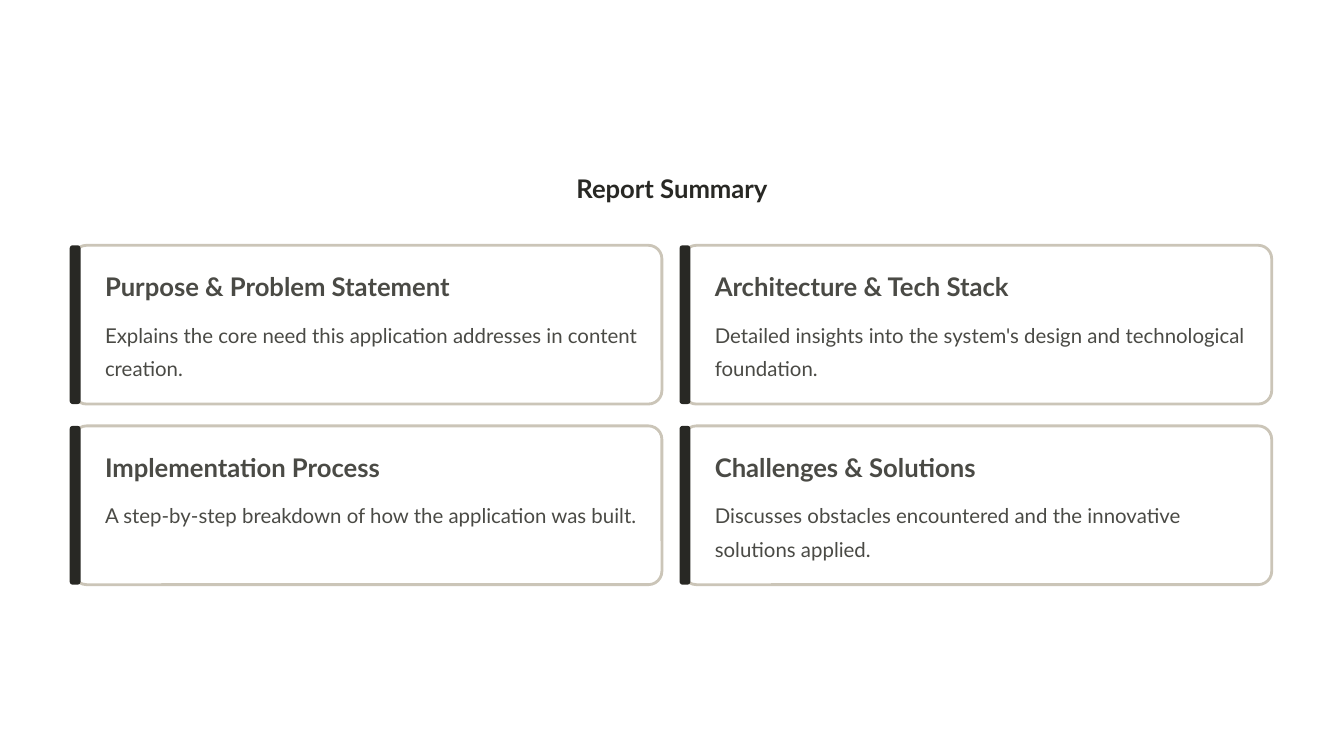
from pptx import Presentation
from pptx.dml.color import RGBColor
from pptx.enum.shapes import MSO_SHAPE
from pptx.enum.text import MSO_ANCHOR, MSO_AUTO_SIZE, PP_ALIGN
from pptx.util import Inches, Pt

ROUNDED = MSO_SHAPE.ROUNDED_RECTANGLE
TOP = MSO_ANCHOR.TOP
NO_FIT = MSO_AUTO_SIZE.NONE
LEFT, CENTER = PP_ALIGN.LEFT, PP_ALIGN.CENTER

INK = RGBColor(0x28, 0x28, 0x24)
GREY = RGBColor(0x4A, 0x4A, 0x45)
SAND = RGBColor(0xCB, 0xC5, 0xB8)

TITLE = {"size": Pt(22), "bold": True, "color": INK, "leading": Pt(27.5), "wrap": False}
HEADING = {**TITLE, "color": GREY}
BODY = {"size": Pt(17.5), "bold": False, "color": GREY, "leading": Pt(28.5), "wrap": True}

COLUMNS = 2
COLUMN_STEP, ROW_STEP = 7.26, 2.15
CARD_LEFT, CARD_TOP = 0.83, 2.92
CARD_HEIGHT = 1.89

CARDS = [
    ("Purpose & Problem Statement",
     "Explains the core need this application addresses in content creation."),
    ("Architecture & Tech Stack",
     "Detailed insights into the system's design and technological foundation."),
    ("Implementation Process",
     "A step-by-step breakdown of how the application was built."),
    ("Challenges & Solutions",
     "Discusses obstacles encountered and the innovative solutions applied."),
]


class SummarySlide:
    """Hold the style and the current slide, and draw its elements."""

    font_name = "Lato"

    def __init__(self, deck):
        self.page = deck.slides.add_slide(deck.slide_layouts[5])

    def fill_text(self, box, text, style, align=LEFT):
        frame = box.text_frame
        frame_format = {
            "margin_left": 0, "margin_top": 0, "margin_right": 0, "margin_bottom": 0,
            "auto_size": NO_FIT, "vertical_anchor": TOP, "word_wrap": style["wrap"],
        }
        for name, value in frame_format.items():
            setattr(frame, name, value)
        para = frame.paragraphs[0]
        para.alignment = align
        para.line_spacing = style["leading"]
        span = para.add_run()
        span.text = text
        font_format = {"name": self.font_name, "size": style["size"], "bold": style["bold"]}
        for name, value in font_format.items():
            setattr(span.font, name, value)
        span.font.color.rgb = style["color"]

    def title(self, text, left, top, width, height):
        box = self.page.shapes.title
        place = {"left": left, "top": top, "width": width, "height": height}
        for name, value in place.items():
            setattr(box, name, Inches(value))
        self.fill_text(box, text, TITLE, CENTER)

    def text(self, text, style, left, top, width, height):
        box = self.page.shapes.add_textbox(
            Inches(left), Inches(top), Inches(width), Inches(height))
        self.fill_text(box, text, style)

    def panel(self, left, top, width, height, rounding, fill=None, line=None):
        shape = self.page.shapes.add_shape(
            ROUNDED, Inches(left), Inches(top), Inches(width), Inches(height))
        shape.shadow.inherit = False
        shape.adjustments[0] = rounding
        if fill is None:
            shape.fill.background()
        else:
            shape.fill.solid()
            shape.fill.fore_color.rgb = fill
        if line is None:
            shape.line.fill.background()
        else:
            shape.line.color.rgb = line
            shape.line.width = Pt(2.4)

    def card(self, left, top, heading, body):
        self.panel(left + 0.04, top, 7.01, CARD_HEIGHT, 0.085, line=SAND)
        self.panel(left, top, 0.13, CARD_HEIGHT, 0.28, fill=INK)
        self.text(heading, HEADING, left + 0.42, top + 0.29, 6.35, 0.39)
        self.text(body, BODY, left + 0.42, top + 0.82, 6.35, 0.79)


def main():
    deck = Presentation()
    deck.slide_width, deck.slide_height = Inches(16), Inches(9)
    summary = SummarySlide(deck)
    summary.title("Report Summary", 6.45, 2.04, 3.1, 0.39)
    for index, (heading, body) in enumerate(CARDS):
        row, column = divmod(index, COLUMNS)
        summary.card(CARD_LEFT + column * COLUMN_STEP, CARD_TOP + row * ROW_STEP,
                     heading, body)
    deck.save("out.pptx")


if __name__ == "__main__":
    main()
